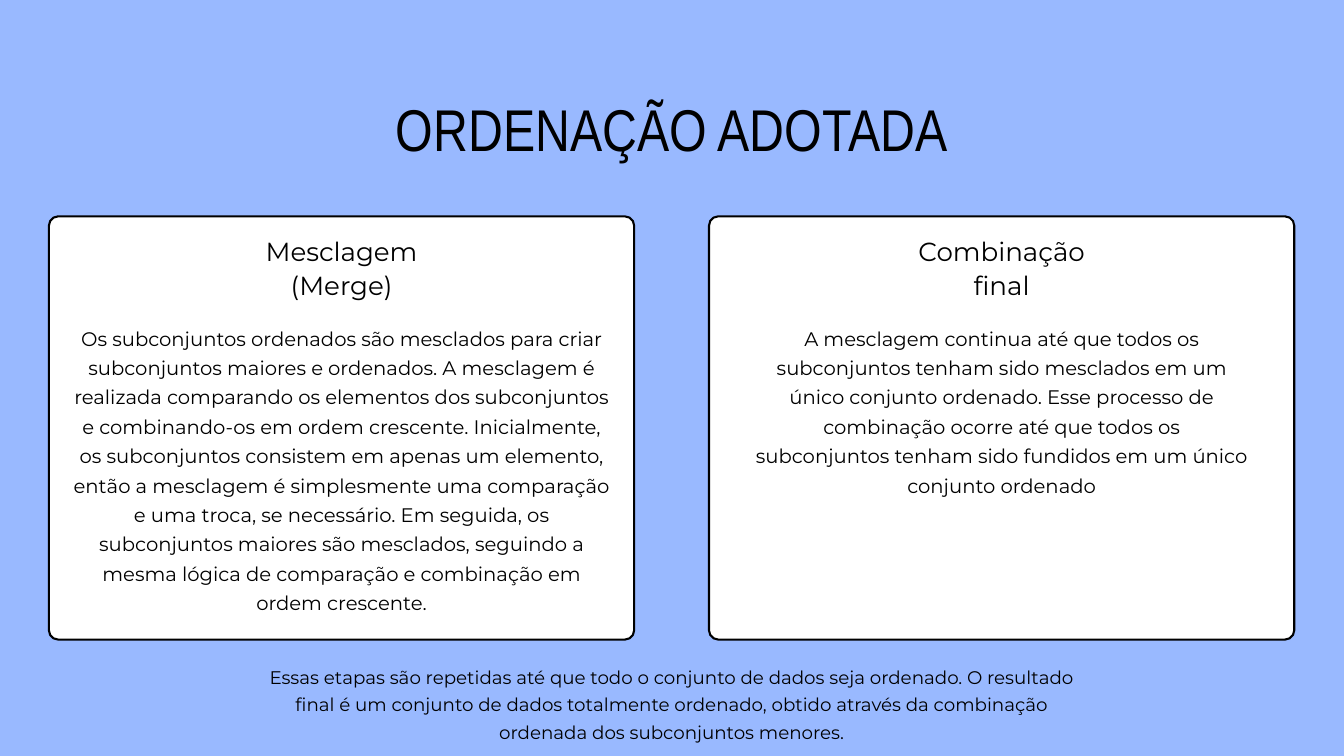
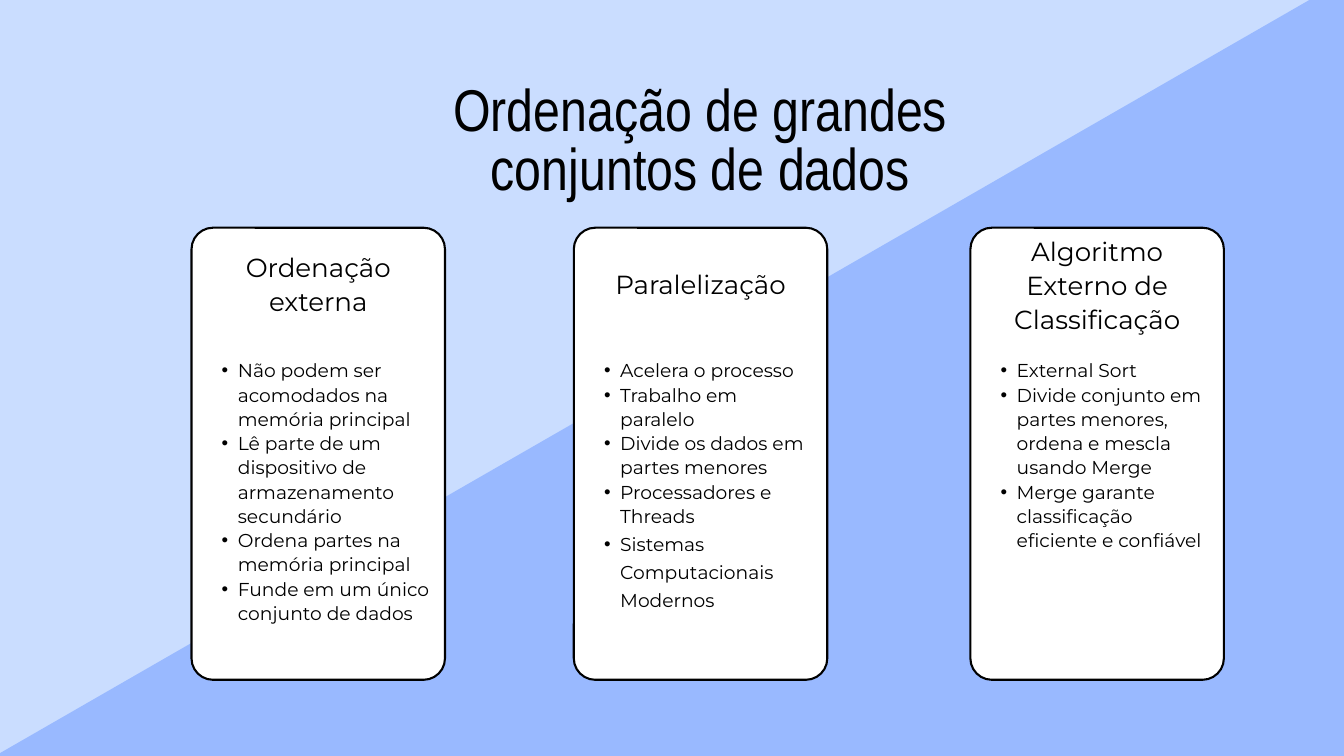
from lxml import etree
from pptx import Presentation
from pptx.dml.color import RGBColor
from pptx.enum.shapes import MSO_SHAPE
from pptx.enum.text import MSO_ANCHOR, MSO_AUTO_SIZE, PP_ALIGN
from pptx.oxml.ns import qn
from pptx.util import Cm, Pt

ROUNDED, DIAMOND = MSO_SHAPE.ROUNDED_RECTANGLE, MSO_SHAPE.DIAMOND
TOP, NO_FIT = MSO_ANCHOR.TOP, MSO_AUTO_SIZE.NONE
LEFT, CENTER = PP_ALIGN.LEFT, PP_ALIGN.CENTER

BLUE, PALE, WHITE, BLACK = "99B9FF", "CADDFF", "FFFFFF", "000000"
TITLE = ("Arial Narrow", 63.1, 63.8)
HEADING = ("Montserrat", 28, 36.4)
BODY = ("Montserrat", 21, 31.5)
CLOSING = ("Montserrat", 19.6, 29.4)
LIST = ("Montserrat", 20, 26)
LOOSE_LIST = ("Montserrat", 20, 30)
HEADING_LINE = 1.26
COMPARISON = 4


def paint(target, colour):
    target.solid()
    target.fore_color.rgb = RGBColor.from_string(colour)


def place(shape, box):
    shape.left, shape.top, shape.width, shape.height = [Cm(n) for n in box]


def add_page(deck, background):
    page = deck.slides.add_slide(deck.slide_layouts[COMPARISON])
    paint(page.background.fill, background)
    return page


def add_block(page, kind, box, colour):
    block = page.shapes.add_shape(kind, *[Cm(n) for n in box])
    block.shadow.inherit = False
    paint(block.fill, colour)
    block.line.fill.background()
    return block


def add_card(page, box, radius):
    card = add_block(page, ROUNDED, box, WHITE)
    card.adjustments[0] = radius / min(box[2:])
    paint(card.line.fill, BLACK)
    card.line.width = Pt(2.25)


def set_bullet(para, bulleted):
    props = para._p.get_or_add_pPr()
    props.set("marL", str(Cm(1.19) if bulleted else 0))
    props.set("indent", str(Cm(-0.61) if bulleted else 0))
    if bulleted:
        etree.SubElement(props, qn("a:buFont")).set("typeface", "Arial")
        etree.SubElement(props, qn("a:buChar")).set("char", "•")
    else:
        etree.SubElement(props, qn("a:buNone"))


def write(shape, box, lines, bulleted=False):
    place(shape, box)
    shape.element.getparent().append(shape.element)
    frame = shape.text_frame
    frame.word_wrap = True
    frame.auto_size = NO_FIT
    frame.vertical_anchor = TOP
    frame.margin_left = frame.margin_right = frame.margin_top = frame.margin_bottom = 0
    for number, (text, (face, size, leading)) in enumerate(lines):
        para = frame.add_paragraph() if number else frame.paragraphs[0]
        set_bullet(para, bulleted)
        para.alignment = LEFT if bulleted else CENTER
        para.line_spacing = Pt(leading)
        para.space_before = para.space_after = Pt(0)
        span = para.add_run()
        span.text = text
        span.font.name, span.font.size = face, Pt(size)
        span.font.bold = False
        span.font.color.rgb = RGBColor.from_string(BLACK)


def add_text(page, box, lines):
    write(page.shapes.add_textbox(0, 0, 0, 0), box, lines)


def centred(card, drop, width, height):
    left, top, card_width, _ = card
    return left + (card_width - width) / 2, top + drop, width, height


def step_card(page, card, slots, heading, text, text_width, text_height):
    add_card(page, card, 0.35)
    heading_slot, text_slot = [page.placeholders[slot] for slot in slots]
    write(heading_slot, centred(card, 0.61, 7.39, 2 * HEADING_LINE), [(heading, HEADING)])
    write(text_slot, centred(card, 3.94, text_width, text_height), [(text, BODY)])


def topic_card(page, card, slot, heading, heading_lines, heading_width, items, list_height):
    add_card(page, card, 0.81)
    height = heading_lines * HEADING_LINE
    add_text(page, centred(card, 2.07 - height / 2, heading_width, height), [(heading, HEADING)])
    write(page.placeholders[slot], centred(card, 4.9, 8.46, list_height), items, bulleted=True)


def adopted_sort_page(deck):
    page = add_page(deck, BLUE)
    write(page.shapes.title, (12.93, 3.94, 24.94, 2.41), [("ORDENAÇÃO ADOTADA", TITLE)])
    steps = [
        ("Mesclagem (Merge)",
         "Os subconjuntos ordenados são mesclados para criar subconjuntos maiores e ordenados. "
         "A mesclagem é realizada comparando os elementos dos subconjuntos e combinando-os em "
         "ordem crescente. Inicialmente, os subconjuntos consistem em apenas um elemento, então "
         "a mesclagem é simplesmente uma comparação e uma troca, se necessário. Em seguida, os "
         "subconjuntos maiores são mesclados, seguindo a mesma lógica de comparação e "
         "combinação em ordem crescente.", 20.32, 11.05),
        ("Combinação final",
         "A mesclagem continua até que todos os subconjuntos tenham sido mesclados em um único "
         "conjunto ordenado. Esse processo de combinação ocorre até que todos os subconjuntos "
         "tenham sido fundidos em um único conjunto ordenado", 18.69, 6.6),
    ]
    for column, step in enumerate(steps):
        card = (1.85 + column * 24.95, 8.18, 22.12, 16)
        step_card(page, card, (1 + 2 * column, 2 + 2 * column), *step)
    add_text(page, (9.73, 24.97, 31.32, 3.07), [(
        "Essas etapas são repetidas até que todo o conjunto de dados seja ordenado. O resultado "
        "final é um conjunto de dados totalmente ordenado, obtido através da combinação "
        "ordenada dos subconjuntos menores.", CLOSING)])


def large_sets_page(deck):
    page = add_page(deck, PALE)
    add_block(page, DIAMOND, (-1.83, -2.01, 109.63, 63.07), BLUE)
    write(page.shapes.title, (14, 3.15, 24.94, 4.67),
          [("Ordenação de grandes conjuntos de dados", TITLE)])
    topics = [
        (7.24, 1, "Ordenação externa", 2, 8.46, [
            ("Não podem ser acomodados na memória principal", LIST),
            ("Lê parte de um dispositivo de armazenamento secundário", LIST),
            ("Ordena partes na memória principal", LIST),
            ("Funde em um único conjunto de dados", LIST)], 9.91),
        (21.69, 2, "Paralelização", 1, 8.46, [
            ("Acelera o processo", LIST),
            ("Trabalho em paralelo", LIST),
            ("Divide os dados em partes menores", LIST),
            ("Processadores e Threads", LIST),
            ("Sistemas Computacionais Modernos", LOOSE_LIST)], 9.4),
        (36.68, 4, "Algoritmo Externo de Classificação", 3, 7.39, [
            ("External Sort", LIST),
            ("Divide conjunto em partes menores, ordena e mescla usando Merge", LIST),
            ("Merge garante classificação eficiente e confiável", LIST)], 7.21),
    ]
    for left, *topic in topics:
        topic_card(page, (left, 8.61, 9.58, 17.09), *topic)
    spare = page.placeholders[3].element
    spare.getparent().remove(spare)


def main():
    deck = Presentation()
    deck.slide_width, deck.slide_height = Cm(50.8), Cm(28.58)
    adopted_sort_page(deck)
    large_sets_page(deck)
    deck.save("out.pptx")


if __name__ == "__main__":
    main()
